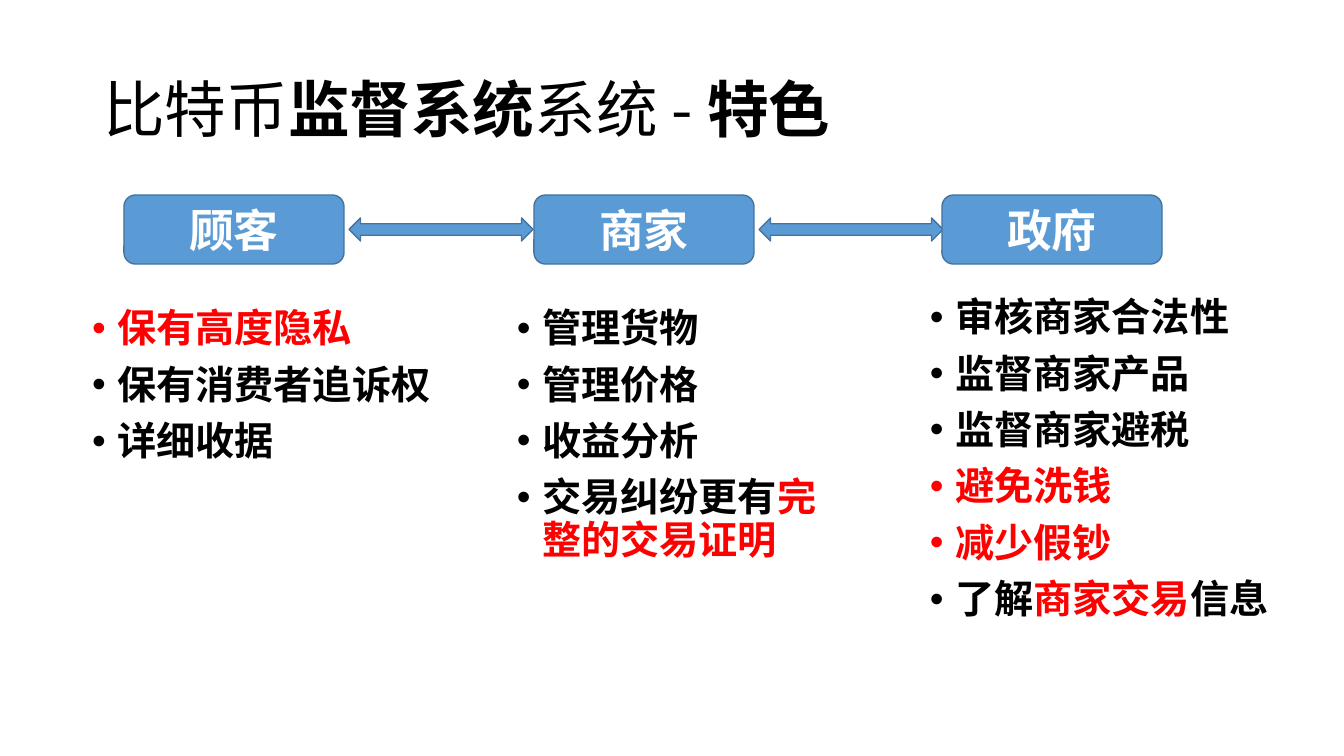
from pptx import Presentation
from pptx.dml.color import RGBColor
from pptx.enum.shapes import MSO_SHAPE as SHAPE
from pptx.enum.text import MSO_ANCHOR as ANCHOR, MSO_AUTO_SIZE as FIT, PP_ALIGN as ALIGN
from pptx.oxml.ns import qn
from pptx.util import Emu, Inches, Pt
from lxml.etree import SubElement

FONT = "Noto Sans CJK SC"
BLACK = RGBColor(0, 0, 0)
RED = RGBColor(0xFF, 0, 0)
WHITE = RGBColor(0xFF, 0xFF, 0xFF)
BLUE = RGBColor(0x5B, 0x9B, 0xD5)
EDGE = RGBColor(0x43, 0x73, 0x9E)


def px(*lengths):
    return [Emu(round(length * 914400 / 100.8)) for length in lengths]


def add_run(paragraph, words, size, color, bold=True):
    run = paragraph.add_run()
    run.text = words
    run.font.name = FONT
    run.font.size = Pt(size)
    run.font.bold = bold
    run.font.color.rgb = color
    SubElement(run.font._element, qn("a:ea"), typeface=FONT)


deck = Presentation()
deck.slide_width, deck.slide_height = Inches(13.333), Inches(7.5)
slide = deck.slides.add_slide(deck.slide_layouts[1])
title, customer_points = slide.placeholders

# Title
title.left, title.top, title.width, title.height = px(93, 40, 1159, 146)
title.text_frame.auto_size = FIT.NONE
title.text_frame.vertical_anchor = ANCHOR.MIDDLE
heading = title.text_frame.paragraphs[0]
heading.alignment = ALIGN.LEFT
heading.line_spacing = 0.9
for words, bold in [("比特币", False), ("监督系统", True), ("系统 - ", False), ("特色", True)]:
    add_run(heading, words, 44, BLACK, bold)

# Roles and the arrows between them
roles = [("顾客", 124), ("商家", 534), ("政府", 942)]
for role, left in roles:
    box = slide.shapes.add_shape(SHAPE.ROUNDED_RECTANGLE, *px(left, 195, 220, 69))
    box.text_frame.vertical_anchor = ANCHOR.MIDDLE
    label = box.text_frame.paragraphs[0]
    label.alignment = ALIGN.CENTER
    add_run(label, role, 32, WHITE)
    parts = [box]
    if role != roles[-1][0]:
        parts.append(slide.shapes.add_shape(
            SHAPE.LEFT_RIGHT_ARROW, *px(left + 225, 218, 184, 23)))
    for part in parts:
        part.shadow.inherit = False
        part.fill.solid()
        part.fill.fore_color.rgb = BLUE
        part.line.color.rgb = EDGE
        part.line.width = Pt(1)

# Features of each role
customer = [[("保有高度隐私", RED)], [("保有消费者追诉权", BLACK)], [("详细收据", BLACK)]]
merchant = [[("管理货物", BLACK)], [("管理价格", BLACK)], [("收益分析", BLACK)],
            [("交易纠纷更有", BLACK), ("完整的交易证明", RED)]]
government = [[("审核商家合法性", BLACK)], [("监督商家产品", BLACK)], [("监督商家避税", BLACK)],
              [("避免洗钱", RED)], [("减少假钞", RED)],
              [("了解", BLACK), ("商家交易", RED), ("信息", BLACK)]]

customer_points.left, customer_points.top, customer_points.width, customer_points.height = px(
    82, 304, 361, 171)
merchant_points = slide.shapes.add_textbox(*px(507, 304, 346, 301))
government_points = slide.shapes.add_textbox(*px(920, 293, 385, 399))

for column, features in [(customer_points, customer), (merchant_points, merchant),
                         (government_points, government)]:
    frame = column.text_frame
    frame.word_wrap = True
    frame.auto_size = FIT.NONE
    for number, feature in enumerate(features):
        point = frame.add_paragraph() if number else frame.paragraphs[0]
        point.line_spacing = 0.9
        point.space_before = Pt(10)
        layout = point._p.get_or_add_pPr()
        layout.set("marL", str(Inches(0.25)))
        layout.set("indent", str(-Inches(0.25)))
        SubElement(layout, qn("a:buFont"), typeface="Arial")
        SubElement(layout, qn("a:buChar"), char="•")
        for words, color in feature:
            add_run(point, words, 28, color)

deck.save("out.pptx")
